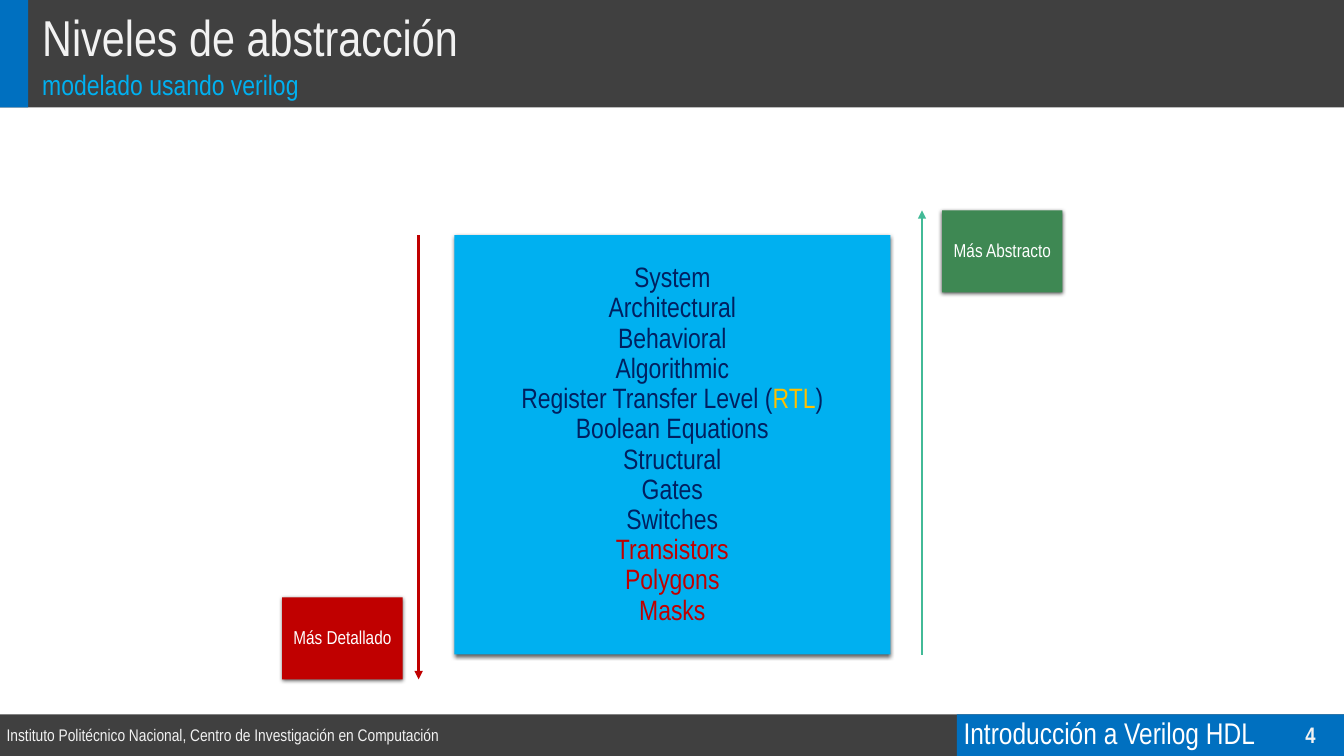
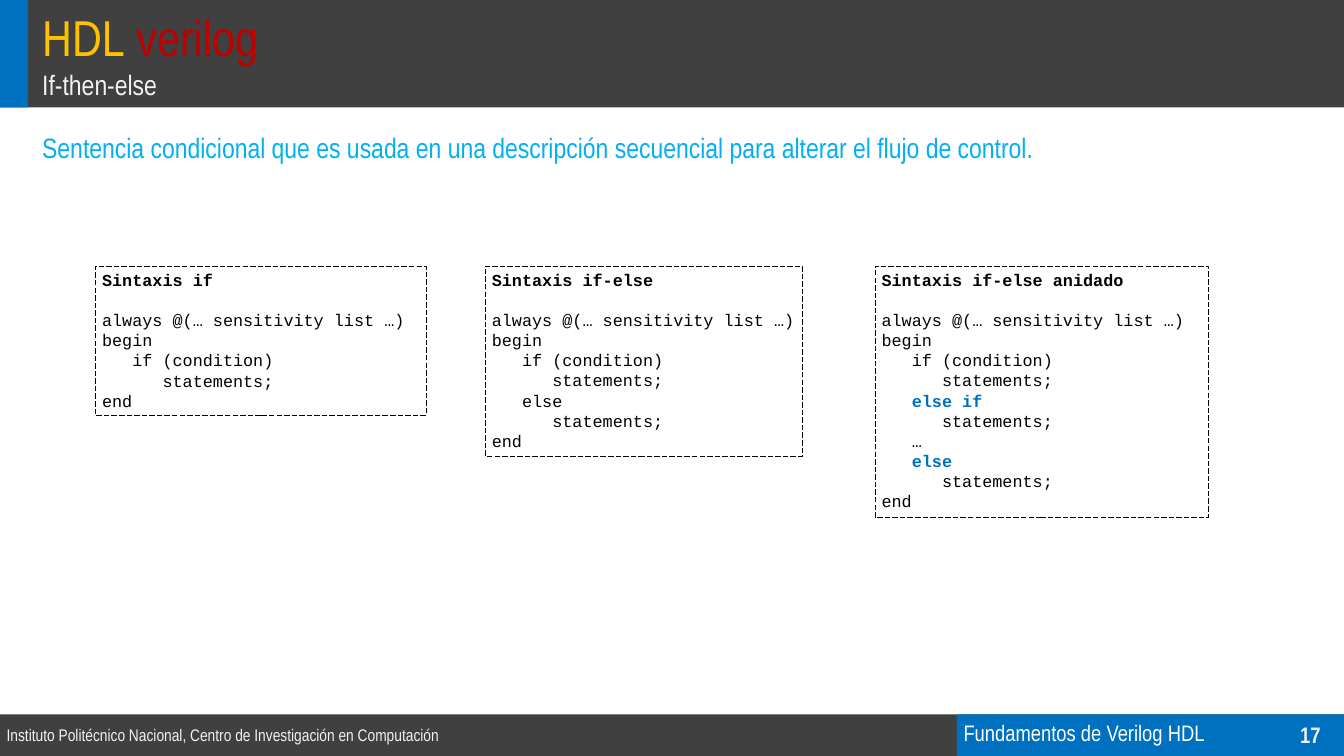
from lxml import etree
from pptx import Presentation
from pptx import util as u
from pptx.dml.color import RGBColor
from pptx.enum import dml, shapes, text
from pptx.oxml import parse_xml
from pptx.oxml.ns import nsdecls, qn

COLORS = {
    "dark": "404040", "blue": "0070C0", "cyan": "00B0F0", "navy": "002060",
    "light": "F2F2F2", "white": "FFFFFF", "black": "000000", "gold": "FFC000",
    "red": "C00000", "green": "3E8853", "mint": "42BA97",
}
SANS, MONO = "Arial Narrow", "Courier New"
INSTITUTE = "Instituto Politécnico Nacional, Centro de Investigación en Computación"
WIDTH, HEIGHT = 20, 11.25
HEADER_H, FOOTER_Y, COURSE_X = 1.6, 10.63, 14.24
SHADOW = (f'<a:outerShdw {nsdecls("a")} blurRad="57150" dist="19050" dir="5400000" '
          'algn="ctr" rotWithShape="0"><a:srgbClr val="000000">'
          '<a:alpha val="63000"/></a:srgbClr></a:outerShdw>')


def rgb(name):
    return RGBColor.from_string(COLORS[name])


class Deck:
    """Holds the shared style and the slide being drawn."""

    def __init__(self):
        self.prs = Presentation()
        self.prs.slide_width = u.Inches(WIDTH)
        self.prs.slide_height = u.Inches(HEIGHT)
        self.s = None

    def new_slide(self, title, subtitle, course, course_size, number):
        self.s = self.prs.slides.add_slide(self.prs.slide_layouts[6])
        # Footer and header bands
        self.rect(0, FOOTER_Y, WIDTH, HEIGHT - FOOTER_Y, "dark")
        self.rect(COURSE_X, FOOTER_Y, WIDTH - COURSE_X, HEIGHT - FOOTER_Y, "blue")
        self.rect(0, 0, WIDTH, HEADER_H, "dark")
        self.rect(0, 0, 0.42, HEADER_H, "blue")
        # Titles
        self.label(0.53, 0.14, 13.71, 0.84, title, 54, spacing=0.9)
        self.label(0.53, 1.01, 13.71, 0.49, subtitle, 30, spacing=0.9)
        # Footer texts
        middle = text.MSO_ANCHOR.MIDDLE
        self.label(0, FOOTER_Y, 9.01, 0.6, INSTITUTE, 18, anchor=middle)
        self.label(COURSE_X, FOOTER_Y, 4.76, 0.6, [(course, "white")], course_size,
                   anchor=middle, spacing=0.9)
        p, = self.label(19, FOOTER_Y, 1, 0.6, number, 24, anchor=middle,
                        align=text.PP_ALIGN.CENTER)
        p.font.bold = True

    def set_text(self, tf, lines, size, color, font=SANS, align=text.PP_ALIGN.LEFT,
                 anchor=text.MSO_ANCHOR.TOP, spacing=None):
        """Each line is a string or a list of (text, colour) runs."""
        tf.word_wrap = True
        tf.vertical_anchor = anchor
        for i, line in enumerate(lines):
            p = tf.add_paragraph() if i else tf.paragraphs[0]
            p.alignment = align
            if spacing:
                p.line_spacing = spacing
            runs = [(line, color)] if isinstance(line, str) else line
            p.font.name, p.font.size = font, u.Pt(size)
            shared = len({c for _, c in runs}) == 1
            if shared:
                p.font.color.rgb = rgb(runs[0][1])
            for words, run_color in runs:
                r = p.add_run()
                r.text = words
                if not shared:
                    r.font.color.rgb = rgb(run_color)
        return tf.paragraphs

    def label(self, x, y, w, h, line, size, color="light", **style):
        sp = self.s.shapes.add_textbox(*map(u.Inches, (x, y, w, h)))
        return self.set_text(sp.text_frame, [line], size, color, **style)

    def rect(self, x, y, w, h, fill=None):
        sp = self.s.shapes.add_shape(shapes.MSO_SHAPE.RECTANGLE,
                                     *map(u.Inches, (x, y, w, h)))
        sp.shadow.inherit = False
        sp.line.fill.background()
        if fill:
            sp.fill.solid()
            sp.fill.fore_color.rgb = rgb(fill)
        else:
            sp.fill.background()
        return sp

    def block(self, x, y, w, h, fill, lines, size, color):
        sp = self.rect(x, y, w, h, fill)
        sp._element.spPr.find(qn("a:effectLst")).append(parse_xml(SHADOW))
        self.set_text(sp.text_frame, lines, size, color, spacing=0.9,
                      align=text.PP_ALIGN.CENTER, anchor=text.MSO_ANCHOR.MIDDLE)

    def arrow(self, x, top, bottom, color, end):
        """Vertical line; end is headEnd (points up) or tailEnd (points down)."""
        c = self.s.shapes.add_connector(shapes.MSO_CONNECTOR.STRAIGHT,
                                        *map(u.Inches, (x, top, x, bottom)))
        c.line.color.rgb = rgb(color)
        c.line.width = u.Pt(3)
        spPr = c._element.spPr
        etree.SubElement(spPr.find(qn("a:ln")), qn(f"a:{end}"), type="triangle")
        etree.SubElement(spPr, qn("a:effectLst"))

    def code(self, x, y, w, h, heading, body, keywords=()):
        sp = self.rect(x, y, w, h)
        sp.line.color.rgb = rgb("black")
        sp.line.width = u.Pt(0.75)
        sp.line.dash_style = dml.MSO_LINE.LONG_DASH
        lines = [heading] + [[(c, "blue" if c.strip() in keywords else "black")]
                             for c in body]
        ps = self.set_text(sp.text_frame, lines, 18, "black", font=MONO)
        sp.text_frame.auto_size = text.MSO_AUTO_SIZE.SHAPE_TO_FIT_TEXT
        ps[1].space_before = u.Pt(21.6)
        for p in ps:
            p.font.bold = p.text == heading or p.text.strip() in keywords


def abstraction_levels(deck):
    deck.new_slide("Niveles de abstracción", [("modelado usando verilog", "cyan")],
                   "Introducción a Verilog HDL", 32, "4")
    # Stack of levels
    levels = ["System", "Architectural", "Behavioral", "Algorithmic",
              [("Register Transfer Level (", "navy"), ("RTL", "gold"), (")", "navy")],
              "Boolean Equations", "Structural", "Gates", "Switches"]
    levels += [[(name, "red")] for name in ("Transistors", "Polygons", "Masks")]
    deck.block(6.76, 3.5, 6.49, 6.24, "cyan", levels, 30, "navy")
    # Both ends of the scale
    deck.block(14.02, 3.13, 1.79, 1.22, "green", ["Más Abstracto"], 20, "white")
    deck.block(4.2, 8.89, 1.79, 1.22, "red", ["Más Detallado"], 20, "white")
    deck.arrow(6.23, 3.5, 10.11, "red", "tailEnd")
    deck.arrow(13.72, 3.13, 9.74, "mint", "headEnd")


def if_then_else(deck):
    deck.new_slide([("HDL", "gold"), (" verilog", "red")], "If-then-else",
                   "Fundamentos de Verilog HDL", 24, "17")
    deck.label(0.53, 1.9, 19.06, 8.24,
               "Sentencia condicional que es usada en una descripción secuencial "
               "para alterar el flujo de control.", 30, "cyan")
    # Syntax boxes, evenly stepped
    statement = "      statements;"
    start = ["always @(… sensitivity list …)", "begin", "   if (condition)", statement]
    otherwise = ["   else", statement]
    nested = ["   else if", statement, "   …"]
    boxes = [
        ("Sintaxis if", 4.92, 2.22, [], ()),
        ("Sintaxis if-else", 4.72, 2.83, otherwise, ()),
        ("Sintaxis if-else anidado", 4.96, 3.74, nested + otherwise,
         ("else if", "else")),
    ]
    for i, (heading, w, h, branches, keywords) in enumerate(boxes):
        deck.code(1.42 + 5.8 * i, 3.96, w, h, heading,
                  start + branches + ["end"], keywords)


def main():
    deck = Deck()
    abstraction_levels(deck)
    if_then_else(deck)
    deck.prs.save("out.pptx")


if __name__ == "__main__":
    main()
